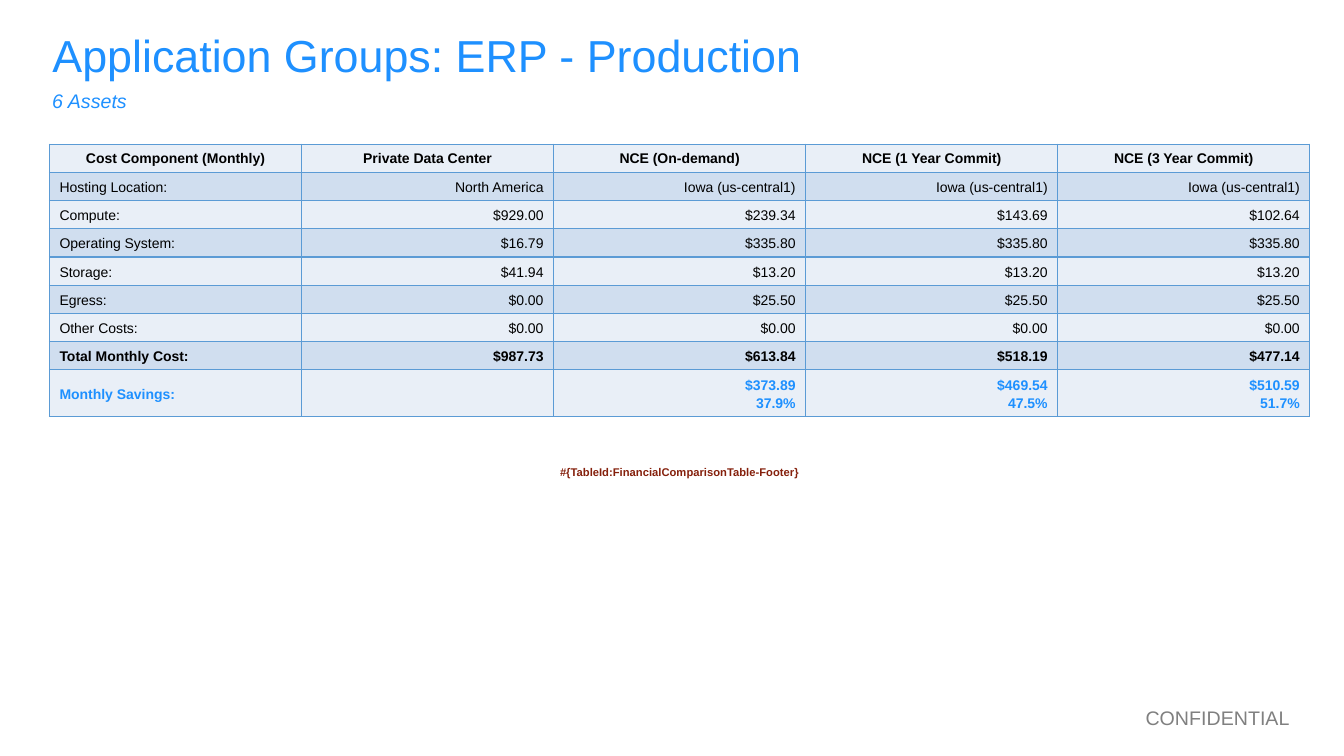
from dataclasses import dataclass

from lxml.etree import SubElement
from pptx import Presentation
from pptx.dml.color import RGBColor
from pptx.enum.text import MSO_ANCHOR, MSO_AUTO_SIZE, PP_ALIGN
from pptx.oxml.ns import qn
from pptx.util import Inches, Pt


@dataclass(frozen=True)
class Theme:
    font: str = "Arial"
    accent: str = "1E90FF"
    ink: str = "000000"
    muted: str = "808080"
    note: str = "85200C"
    border: str = "5B9BD5"
    light_band: str = "E9EFF7"
    dark_band: str = "D0DEEF"
    paper: str = "FFFFFF"
    title_size: int = 32
    label_size: int = 14
    table_size: int = 10
    note_size: int = 8
    table_spacing: float = 1.15


COLUMN_WIDTH = 2.5
ROW_HEIGHT = 0.28
SAVINGS_HEIGHT = 0.46
GAP_HEIGHT = 0.39

HEADINGS = ["Cost Component (Monthly)", "Private Data Center", "NCE (On-demand)",
            "NCE (1 Year Commit)", "NCE (3 Year Commit)"]
COSTS = [
    ["Hosting Location:", "North America"] + ["Iowa (us-central1)"] * 3,
    ["Compute:", "$929.00", "$239.34", "$143.69", "$102.64"],
    ["Operating System:", "$16.79"] + ["$335.80"] * 3,
    ["Storage:", "$41.94"] + ["$13.20"] * 3,
    ["Egress:", "$0.00"] + ["$25.50"] * 3,
    ["Other Costs:"] + ["$0.00"] * 4,
]
TOTALS = ["Total Monthly Cost:", "$987.73", "$613.84", "$518.19", "$477.14"]
SAVINGS = ["Monthly Savings:", "", "$373.89\n37.9%", "$469.54\n47.5%", "$510.59\n51.7%"]
FOOTER = "#{TableId:FinancialComparisonTable-Footer}"


class SlideBuilder:
    def __init__(self, deck, theme):
        self.theme = theme
        self.page = deck.slides.add_slide(deck.slide_layouts[5])

    def fill_text(self, frame, text, size, color, align=PP_ALIGN.LEFT, spacing=1.0, **styles):
        frame.text = text
        for para in frame.paragraphs:
            para.alignment = align
            para.line_spacing = spacing
            for span in para.runs:
                formats = {"name": self.theme.font, "size": Pt(size), "bold": False, **styles}
                for name, value in formats.items():
                    setattr(span.font, name, value)
                span.font.color.rgb = RGBColor.from_string(color)

    def fit_frame(self, frame, inset):
        formats = {"word_wrap": True, "auto_size": MSO_AUTO_SIZE.NONE,
                   "vertical_anchor": MSO_ANCHOR.TOP, "margin_left": Inches(0.1),
                   "margin_right": Inches(0.1), "margin_top": Inches(inset),
                   "margin_bottom": Inches(inset)}
        for name, value in formats.items():
            setattr(frame, name, value)

    def title(self, text, left, top, width, height):
        box = self.page.shapes.title
        places = {"left": left, "top": top, "width": width, "height": height}
        for name, value in places.items():
            setattr(box, name, Inches(value))
        self.fit_frame(box.text_frame, 0.1)
        self.fill_text(box.text_frame, text, self.theme.title_size, self.theme.accent)

    def label(self, text, left, top, width, height, color, inset, **styles):
        box = self.page.shapes.add_textbox(*map(Inches, (left, top, width, height)))
        self.fit_frame(box.text_frame, inset)
        self.fill_text(box.text_frame, text, self.theme.label_size, color, **styles)

    def borders(self, cell, sides):
        properties = cell._tc.get_or_add_tcPr()
        for side in "LRTB":
            line = SubElement(properties, qn(f"a:ln{side}"), w=str(Pt(1)))
            if side in sides:
                fill = SubElement(line, qn("a:solidFill"))
                SubElement(fill, qn("a:srgbClr"), val=self.theme.border)
            else:
                SubElement(line, qn("a:noFill"))

    def cell(self, cell, text, fill, sides="LRTB", **styles):
        self.borders(cell, sides)
        cell.fill.solid()
        cell.fill.fore_color.rgb = RGBColor.from_string(fill)
        cell.vertical_anchor = MSO_ANCHOR.MIDDLE
        if text:
            self.fill_text(cell.text_frame, text, **styles)

    def cost_table(self, left, top):
        theme = self.theme
        rows = [HEADINGS, *COSTS, TOTALS, SAVINGS]
        heights = [ROW_HEIGHT] * (len(rows) - 1) + [SAVINGS_HEIGHT, GAP_HEIGHT, ROW_HEIGHT]
        count = len(HEADINGS)
        box = self.page.shapes.add_table(
            len(heights), count, Inches(left), Inches(top),
            Inches(COLUMN_WIDTH * count), Inches(sum(heights)))
        table = box.table
        table.first_row = table.horz_banding = False
        for column in table.columns:
            column.width = Inches(COLUMN_WIDTH)
        for row, height in zip(table.rows, heights):
            row.height = Inches(height)

        for row_index, values in enumerate(rows):
            heading = values is HEADINGS
            fill = theme.dark_band if row_index % 2 else theme.light_band
            for column_index, text in enumerate(values):
                align = PP_ALIGN.RIGHT if column_index else PP_ALIGN.LEFT
                self.cell(
                    table.cell(row_index, column_index), text, fill,
                    size=theme.table_size,
                    color=theme.accent if values is SAVINGS else theme.ink,
                    align=PP_ALIGN.CENTER if heading else align,
                    spacing=1.0 if heading else theme.table_spacing,
                    bold=heading or values is TOTALS or values is SAVINGS)

        gap = len(rows)
        for row_index, text, sides in [(gap, "", "T"), (gap + 1, FOOTER, "")]:
            table.cell(row_index, 0).merge(table.cell(row_index, count - 1))
            for column_index in range(count):
                self.cell(
                    table.cell(row_index, column_index), "" if column_index else text,
                    theme.paper, sides, size=theme.note_size, color=theme.note,
                    align=PP_ALIGN.CENTER, spacing=theme.table_spacing, bold=True)


def main():
    deck = Presentation()
    deck.slide_width = Inches(13.33)
    deck.slide_height = Inches(7.5)
    theme = Theme()
    builder = SlideBuilder(deck, theme)
    builder.cost_table(0.49, 1.43)
    builder.label("CONFIDENTIAL", 10.67, 6.95, 2.22, 0.34, theme.muted, 0.05,
                  align=PP_ALIGN.RIGHT)
    builder.title("Application Groups: ERP - Production", 0.42, 0.17, 12.5, 0.88)
    builder.label("6 Assets", 0.42, 0.78, 12.5, 0.88, theme.accent, 0.1, italic=True)
    deck.save("out.pptx")


if __name__ == "__main__":
    main()
